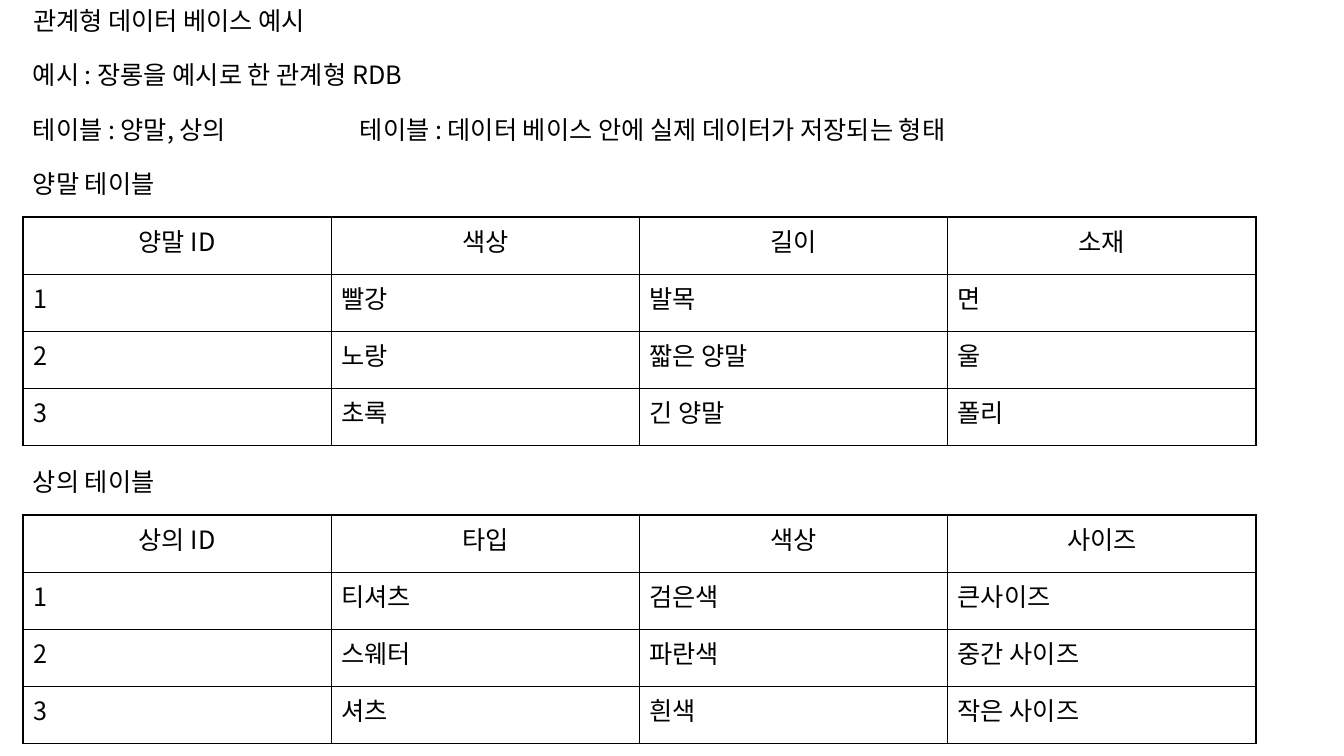
from dataclasses import dataclass
from lxml.etree import SubElement
from pptx import Presentation
from pptx.dml.color import RGBColor
from pptx.enum.text import MSO_ANCHOR, MSO_AUTO_SIZE, PP_ALIGN
from pptx.oxml.ns import qn
from pptx.util import Emu, Pt


@dataclass(frozen=True)
class Theme:
    font: str = "Noto Sans CJK KR"
    body_size: int = 18
    border_width: int = 1
    ink: str = "000000"
    paper: str = "FFFFFF"


@dataclass(frozen=True)
class Box:
    left: int
    top: int
    width: int
    height: int


THEME = Theme()
PX_PER_INCH = 100.8
LINE_HEIGHT = 40
CAPTION_PITCH = 54
CAPTION_WIDTH = 258

SOCKS = [
    ["양말 ID", "색상", "길이", "소재"],
    ["1", "빨강", "발목", "면"],
    ["2", "노랑", "짧은 양말", "울"],
    ["3", "초록", "긴 양말", "폴리"],
]
TOPS = [
    ["상의 ID", "타입", "색상", "사이즈"],
    ["1", "티셔츠", "검은색", "큰사이즈"],
    ["2", "스웨터", "파란색", "중간 사이즈"],
    ["3", "셔츠", "흰색", "작은 사이즈"],
]


def px(length):
    return Emu(round(length * 914400 / PX_PER_INCH))


def emu_box(box):
    return px(box.left), px(box.top), px(box.width), px(box.height)


def write(frame, text, size=THEME.body_size, color=THEME.ink, align=PP_ALIGN.LEFT):
    paragraph = frame.paragraphs[0]
    paragraph.alignment = align
    run = paragraph.add_run()
    run.text = text
    run.font.size = Pt(size)
    run.font.name = THEME.font
    run.font.color.rgb = RGBColor.from_string(color)
    # Hangul takes its typeface from the East Asian font
    SubElement(run.font._element, qn("a:ea"), typeface=THEME.font)


def fit_line(frame):
    frame.word_wrap = True
    frame.auto_size = MSO_AUTO_SIZE.SHAPE_TO_FIT_TEXT
    frame.vertical_anchor = MSO_ANCHOR.TOP


def add_title(slide, box, text):
    title = slide.shapes.title
    title.left, title.top, title.width, title.height = emu_box(box)
    fit_line(title.text_frame)
    write(title.text_frame, text)


def add_line(slide, box, text):
    line = slide.shapes.add_textbox(*emu_box(box))
    fit_line(line.text_frame)
    write(line.text_frame, text)


def draw_borders(cell):
    properties = cell._tc.get_or_add_tcPr()
    for side in ("lnL", "lnR", "lnT", "lnB"):
        border = SubElement(properties, qn(f"a:{side}"), w=str(Pt(THEME.border_width)))
        ink = SubElement(border, qn("a:solidFill"))
        SubElement(ink, qn("a:srgbClr"), val=THEME.ink)


def add_grid(slide, box, records):
    table = slide.shapes.add_table(len(records), len(records[0]), *emu_box(box)).table
    table.first_row = table.horz_banding = False
    for column in table.columns:
        column.width = px(box.width / len(records[0]))
    for row_index, (row, record) in enumerate(zip(table.rows, records)):
        row.height = px(box.height / len(records))
        align = PP_ALIGN.LEFT if row_index else PP_ALIGN.CENTER
        for cell, value in zip(row.cells, record):
            draw_borders(cell)
            cell.fill.solid()
            cell.fill.fore_color.rgb = RGBColor.from_string(THEME.paper)
            write(cell.text_frame, value, align=align)


def add_table_section(slide, box, caption, records):
    add_line(slide, Box(box.left, box.top, CAPTION_WIDTH, LINE_HEIGHT), caption)
    add_grid(slide, Box(box.left, box.top + CAPTION_PITCH, box.width,
                        box.height - CAPTION_PITCH), records)


def add_introduction(slide, box):
    # Example, then table names beside the definition of a table
    add_line(slide, Box(box.left, box.top, 446, LINE_HEIGHT),
             "예시 : 장롱을 예시로 한 관계형 RDB")
    second_top = box.top + box.height - LINE_HEIGHT
    add_line(slide, Box(box.left, second_top, 446, LINE_HEIGHT), "테이블 : 양말, 상의")
    add_line(slide, Box(box.left + 327, second_top, 725, LINE_HEIGHT),
             "테이블 : 데이터 베이스 안에 실제 데이터가 저장되는 형태")


def main():
    deck = Presentation()
    deck.slide_width, deck.slide_height = px(1344), px(756)
    slide = deck.slides.add_slide(deck.slide_layouts[5])

    # Heading and introduction
    add_title(slide, Box(23, 0, 364, LINE_HEIGHT), "관계형 데이터 베이스 예시")
    add_introduction(slide, Box(23, 54, 1233, 95))

    # Example tables
    add_table_section(slide, Box(23, 163, 1233, 283), "양말 테이블", SOCKS)
    add_table_section(slide, Box(23, 461, 1233, 283), "상의 테이블", TOPS)

    deck.save("out.pptx")


if __name__ == "__main__":
    main()
